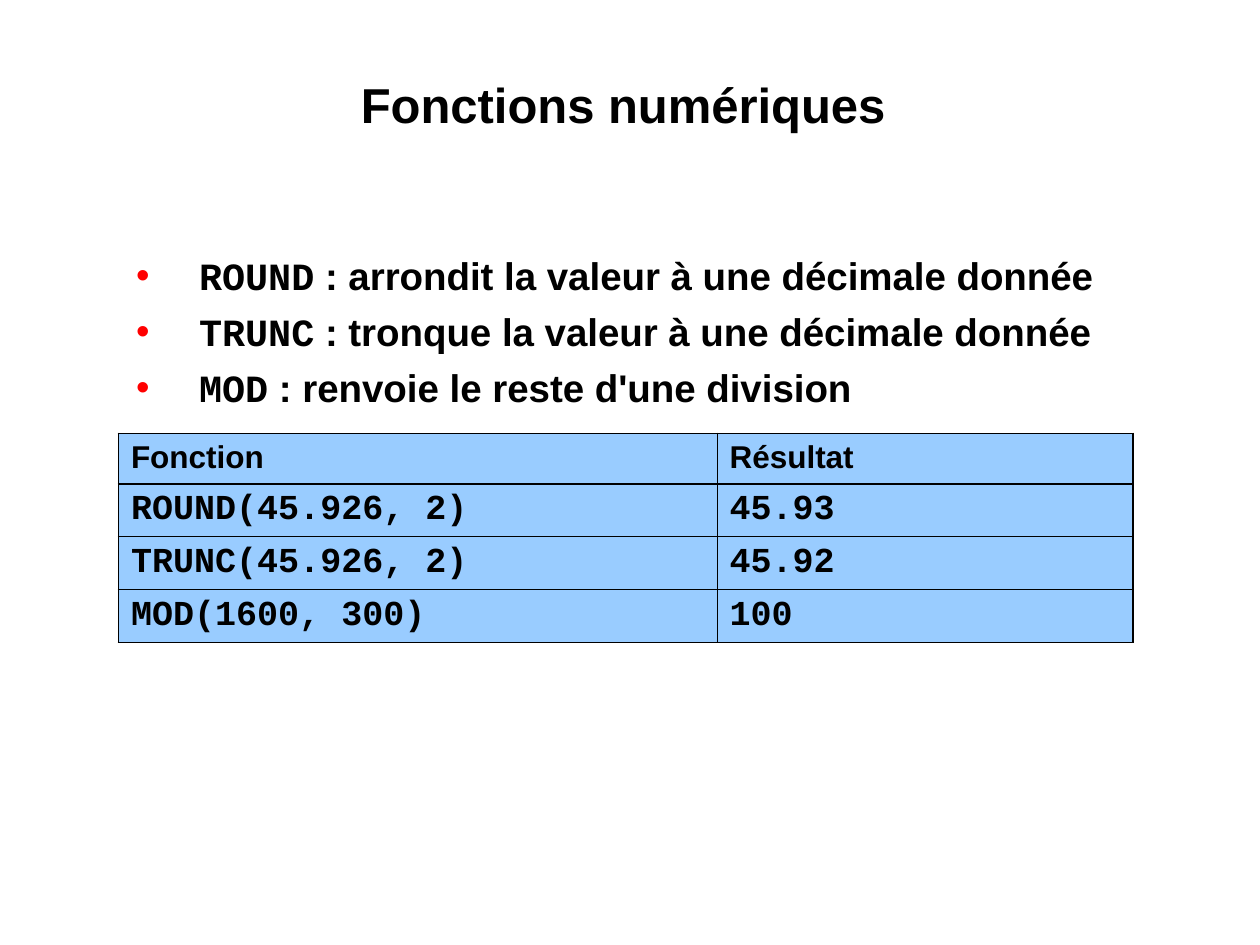
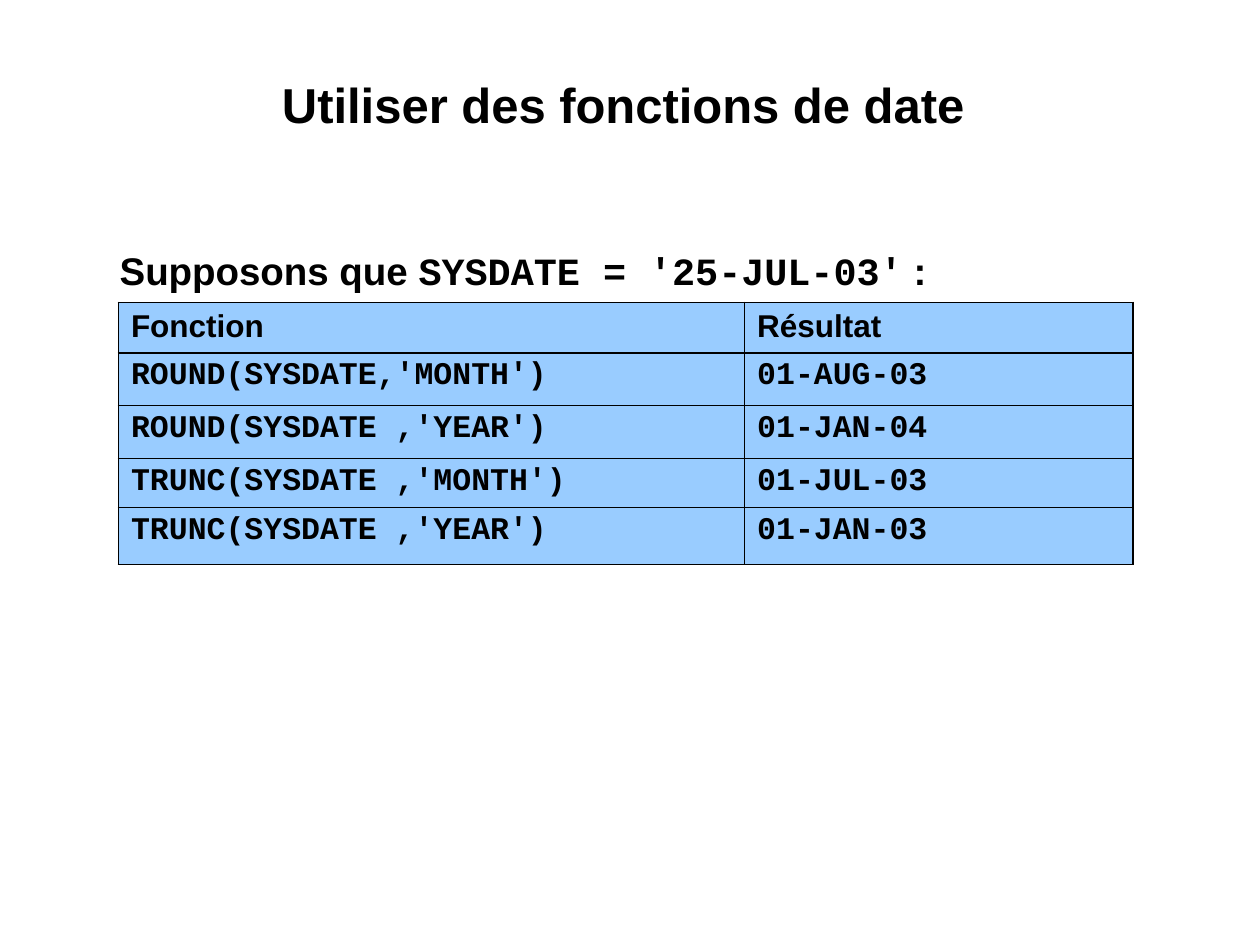
from lxml import etree
from pptx import Presentation
from pptx.dml.color import RGBColor
from pptx.enum import text as t
from pptx.oxml import ns
from pptx.util import Inches, Pt

BLACK = RGBColor(0x00, 0x00, 0x00)
WHITE = RGBColor(0xFF, 0xFF, 0xFF)
RED = RGBColor(0xFF, 0x00, 0x00)
BLUE = RGBColor(0x99, 0xCC, 0xFF)
SANS, MONO = "Arial", "Courier New"
THICK, THIN = 1.08, 0.45
TITLE_BOX = (1, 0.58, 8, 0.96)
HEAD = ("Fonction", "Résultat")
HEAD_STYLE = {"size": 18, "font": SANS, "space_before": Pt(4.5)}


def put(item, values):
    for name, value in values.items():
        setattr(item, name, value)


def add_run(para, words, size, font):
    run = para.add_run()
    run.text = words
    put(run.font, {"size": Pt(size), "name": font, "bold": True})
    run.font.color.rgb = BLACK


def add_color(parent, tag, color):
    node = etree.SubElement(parent, ns.qn(tag))
    etree.SubElement(node, ns.qn("a:srgbClr"), val=str(color))


def set_bullet(para, shown):
    props = para._p.get_or_add_pPr()
    left, hang = (0.63, -0.5) if shown else (0, 0)
    props.set("marL", str(Inches(left)))
    props.set("indent", str(Inches(hang)))
    if shown:
        add_color(props, "a:buClr", RED)
        etree.SubElement(props, ns.qn("a:buFont"), typeface=SANS)
        etree.SubElement(props, ns.qn("a:buChar"), char="•")
    else:
        etree.SubElement(props, ns.qn("a:buNone"))


def place(holder, box):
    """Move a placeholder to its box and return its text frame."""
    put(holder, dict(zip(("left", "top", "width", "height"), map(Inches, box))))
    frame = holder.text_frame
    put(frame, {"word_wrap": True, "auto_size": t.MSO_AUTO_SIZE.NONE,
                "vertical_anchor": t.MSO_ANCHOR.TOP})
    put(frame, {f"margin_{side}": Inches(0.01)
                for side in ("left", "top", "right", "bottom")})
    return frame


def add_title(slide, words):
    para = place(slide.shapes.title, TITLE_BOX).paragraphs[0]
    put(para, {"alignment": t.PP_ALIGN.CENTER, "space_before": Pt(7)})
    add_run(para, words, 28, SANS)


def add_body(slide, box, lines, bullets, style):
    """Each line is a list of (words, font) runs."""
    frame = place(slide.placeholders[1], box)
    for i, line in enumerate(lines):
        para = frame.add_paragraph() if i else frame.paragraphs[0]
        put(para, style)
        set_bullet(para, bullets)
        for words, font in line:
            add_run(para, words, 22, font)


def set_edges(cell, widths):
    props = cell._tc.get_or_add_tcPr()
    for side, width in zip("LRTB", widths):
        line = etree.SubElement(props, ns.qn(f"a:ln{side}"), w=str(Pt(width)))
        add_color(line, "a:solidFill", BLACK)


def add_grid(slide, box, cols, heights, rows, style):
    """Table with a heavy frame and a heavy rule under its header."""
    rows = [HEAD, *rows]
    table = slide.shapes.add_table(len(rows), len(cols), *map(Inches, box)).table
    put(table, {"first_row": False, "horz_banding": False})
    for col, width in zip(table.columns, cols):
        col.width = Inches(width)
    last = len(rows) - 1
    for r, (row, height) in enumerate(zip(rows, heights)):
        table.rows[r].height = Inches(height)
        look = dict(HEAD_STYLE if r == 0 else style)
        size, font = look.pop("size"), look.pop("font")
        for c, words in enumerate(row):
            cell = table.cell(r, c)
            heavy = (c == 0, c == len(cols) - 1, r < 2, r in (0, last))
            set_edges(cell, [THICK if h else THIN for h in heavy])
            cell.fill.solid()
            cell.fill.fore_color.rgb = BLUE
            para = cell.text_frame.paragraphs[0]
            put(para, look)
            add_run(para, words, size, font)


def add_slide(deck, title):
    slide = deck.slides.add_slide(deck.slide_layouts[1])
    slide.background.fill.solid()
    slide.background.fill.fore_color.rgb = WHITE
    add_title(slide, title)
    return slide


def number_slide(deck):
    slide = add_slide(deck, "Fonctions numériques ")
    uses = [("ROUND", "arrondit la valeur à une décimale donnée"),
            ("TRUNC", "tronque la valeur à une décimale donnée"),
            ("MOD", "renvoie le reste d'une division")]
    lines = [[(name, MONO), (f" : {use}", SANS)] for name, use in uses]
    add_body(slide, (0.94, 1.99, 8.06, 1.28), lines, True,
             {"space_before": Pt(5.5)})
    add_grid(slide, (0.94, 3.44, 8.05, 1.66), (4.75, 3.3),
             (0.4, 0.42, 0.42, 0.42),
             [("ROUND(45.926, 2)", "45.93"),
              ("TRUNC(45.926, 2)", "45.92"),
              ("MOD(1600, 300)", "100")],
             {"size": 20, "font": MONO, "line_spacing": 0.95,
              "space_before": Pt(8.8)})


def date_slide(deck):
    slide = add_slide(deck, "Utiliser des fonctions de date ")
    line = [("Supposons que ", SANS), ("SYSDATE = '25-JUL-03'", MONO),
            (" :", SANS)]
    add_body(slide, (0.94, 1.99, 8.06, 0.36), [line], False,
             {"line_spacing": 0.9, "space_before": Pt(9.6)})
    add_grid(slide, (0.94, 2.4, 8.05, 2.08), (4.97, 3.08),
             (0.4, 0.42, 0.42, 0.39, 0.45),
             [("ROUND(SYSDATE,'MONTH')", "01-AUG-03"),
              ("ROUND(SYSDATE ,'YEAR')", "01-JAN-04"),
              ("TRUNC(SYSDATE ,'MONTH')", "01-JUL-03"),
              ("TRUNC(SYSDATE ,'YEAR')", "01-JAN-03")],
             {"size": 18, "font": MONO, "line_spacing": 0.9,
              "space_before": Pt(7.9)})


def main():
    deck = Presentation()
    put(deck, {"slide_width": Inches(10), "slide_height": Inches(7.5)})
    number_slide(deck)
    date_slide(deck)
    deck.save("out.pptx")


if __name__ == "__main__":
    main()
